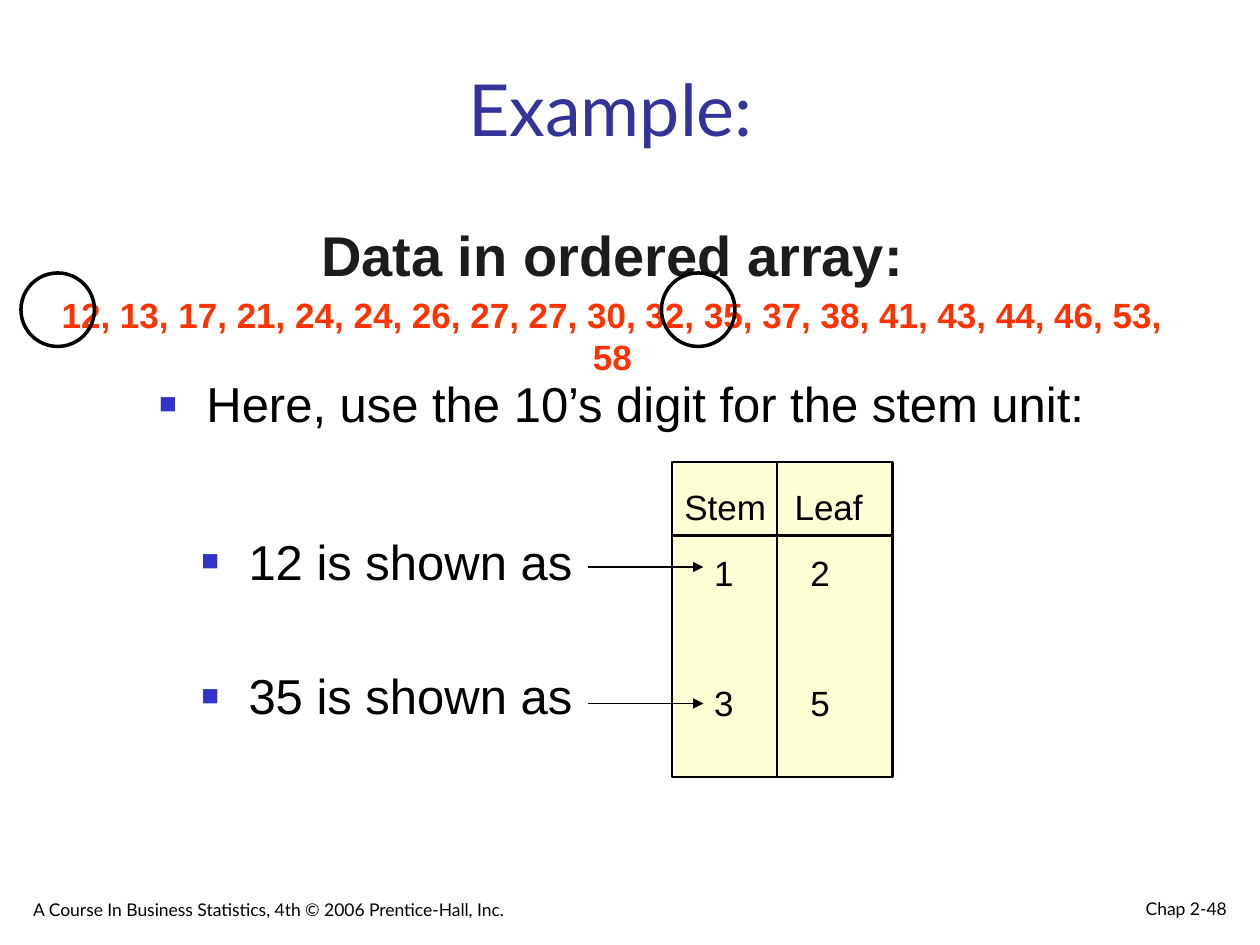
from lxml import etree
from pptx import Presentation
from pptx import util as u
from pptx.dml.color import RGBColor
from pptx.enum import shapes, text
from pptx.oxml import ns

COLOURS = {
    "ink": "000000",
    "heading": "333399",
    "subheading": "1C1C1C",
    "data": "FF3300",
    "bullet": "3333CC",
    "panel": "FFFFD5",
}


def colour(name):
    return RGBColor.from_string(COLOURS[name])


def child(parent, tag, **attributes):
    return etree.SubElement(parent, ns.qn(tag), attributes)


def add_bullet(para, indent=27):
    properties = para._p.get_or_add_pPr()
    properties.set("marL", str(u.Pt(indent)))
    properties.set("indent", str(-u.Pt(indent)))
    child(child(properties, "a:buClr"), "a:srgbClr", val=COLOURS["bullet"])
    child(properties, "a:buSzPct", val="60000")
    child(properties, "a:buFont", typeface="Arial")
    child(properties, "a:buChar", char="■")


def add_tabs(para, stops):
    tabs = child(para._p.get_or_add_pPr(), "a:tabLst")
    for stop in stops:
        child(tabs, "a:tab", pos=str(u.Pt(stop)), algn="l")


def write(frame, words, size=20, font="Arial", ink="ink", bold=False,
          align="LEFT", before=None, spacing=None, bullet=False, tabs=()):
    first = frame.paragraphs[0]
    para = frame.add_paragraph() if first.runs else first
    para.alignment = getattr(text.PP_ALIGN, align)
    if before is not None:
        para.space_before = u.Pt(before)
    if spacing is not None:
        para.line_spacing = spacing
    if bullet:
        add_bullet(para)
    if tabs:
        add_tabs(para, tabs)
    span = para.add_run()
    span.text = words
    span.font.name = font
    span.font.size = u.Pt(size)
    span.font.bold = bold
    span.font.color.rgb = colour(ink)


class Slide:
    def __init__(self, deck):
        self.page = deck.slides.add_slide(deck.slide_layouts[6])

    def box(self, left, top, width, height, anchor="TOP", inset_top=3.6):
        box = self.page.shapes.add_textbox(*map(u.Pt, (left, top, width, height)))
        frame = box.text_frame
        frame.word_wrap = True
        frame.vertical_anchor = getattr(text.MSO_ANCHOR, anchor)
        frame.margin_left = frame.margin_right = u.Pt(7)
        frame.margin_top, frame.margin_bottom = u.Pt(inset_top), u.Pt(3.6)
        return frame

    def shape(self, kind, left, top, width, height, weight, fill=None):
        shape = self.page.shapes.add_shape(
            getattr(shapes.MSO_SHAPE, kind), *map(u.Pt, (left, top, width, height)))
        shape.shadow.inherit = False
        if fill:
            shape.fill.solid()
            shape.fill.fore_color.rgb = colour(fill)
        else:
            shape.fill.background()
        shape.line.color.rgb = colour("ink")
        shape.line.width = u.Pt(weight)

    def line(self, x1, y1, x2, y2, weight=1.5, arrow=False):
        line = self.page.shapes.add_connector(
            shapes.MSO_CONNECTOR.STRAIGHT, *map(u.Pt, (x1, y1, x2, y2)))
        line.line.color.rgb = colour("ink")
        line.line.width = u.Pt(weight)
        if arrow:
            child(line.line._get_or_add_ln(), "a:tailEnd", type="triangle")
        child(line._element.spPr, "a:effectLst")


def main():
    deck = Presentation()
    deck.slide_width, deck.slide_height = u.Pt(720), u.Pt(540)
    slide = Slide(deck)

    write(slide.box(558, 504, 150, 24.5, "BOTTOM"), "Chap 2-48",
          size=10, font="Lato", align="RIGHT")
    write(slide.box(12, 504, 366, 25.2, "BOTTOM"),
          "A Course In Business Statistics, 4th © 2006 Prentice-Hall, Inc.",
          size=10, font="Lato")

    left, top, width, height = 384, 264, 126, 180
    slide.shape("RECTANGLE", left, top, width, height, 1.5, fill="panel")

    write(slide.box(192, 30, 331, 60, "BOTTOM"), "Example:\t",
          size=41, font="Lato", ink="heading", align="CENTER")
    write(slide.box(84, 210, 606, 48),
          "Here, use the 10’s digit for the stem unit:", size=28, bullet=True)

    array = slide.box(16, 119.5, 668, 73.5, inset_top=6.5)
    write(array, "Data in ordered array:", size=32, ink="subheading",
          bold=True, align="CENTER")
    write(array, "12, 13, 17, 21, 24, 24, 26, 27, 27, 30, 32, 35, 37, 38, 41, 43, 44, 46, 53, 58",
          ink="data", bold=True, align="CENTER", before=3.5)

    examples = slide.box(108, 300, 276, 120)
    write(examples, "12 is shown as", size=28, bullet=True)
    write(examples, "35 is shown as", size=28, bullet=True, before=40, spacing=1.1)

    slide.line(left, 306, left + width, 306)
    for y in (324, 402):
        slide.line(336, y, 402, y, weight=0.75, arrow=True)
    for x in (12, 378):
        slide.shape("OVAL", x, 156, 42, 42, 2)
    slide.line(444, top, 444, top + height)

    stems = slide.box(left, 270, 120, 149, inset_top=5)
    write(stems, "Stem\tLeaf", spacing=1.1, tabs=(63,))
    for words, gap in (("\t1\t2", 11.5), ("\t3\t5", 47.5)):
        write(stems, words, spacing=1.1, before=gap, tabs=(17, 72))

    deck.save("out.pptx")


if __name__ == "__main__":
    main()
